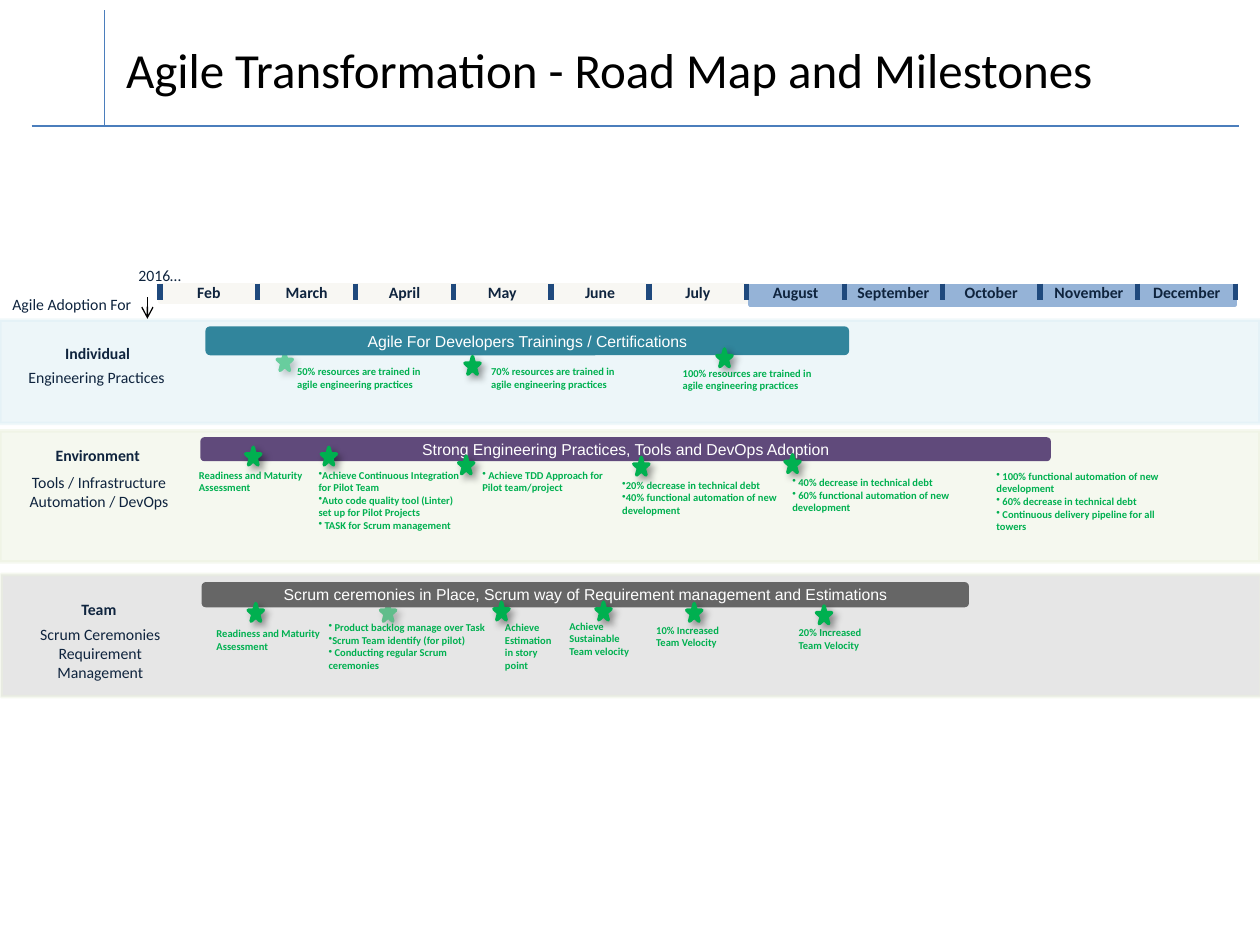
from lxml import etree
from pptx import Presentation
from pptx.dml.color import RGBColor
from pptx.enum.shapes import MSO_CONNECTOR, MSO_SHAPE
from pptx.enum.text import MSO_ANCHOR, MSO_AUTO_SIZE, PP_ALIGN
from pptx.oxml.ns import qn
from pptx.util import Inches, Pt

STRAIGHT = MSO_CONNECTOR.STRAIGHT
RECT, ROUND, STAR = MSO_SHAPE.RECTANGLE, MSO_SHAPE.ROUNDED_RECTANGLE, MSO_SHAPE.STAR_5_POINT
TOP, MIDDLE, BOTTOM = MSO_ANCHOR.TOP, MSO_ANCHOR.MIDDLE, MSO_ANCHOR.BOTTOM
LEFT, CENTER = PP_ALIGN.LEFT, PP_ALIGN.CENTER
COLS, ROWS = 100, 75
WIDTH, HEIGHT = Inches(10), Inches(7.5)
C = {"ink": "0F243E", "green": "00B050", "black": "000000", "white": "FFFFFF",
     "rule": "4B7EBC", "tick": "1F497D", "past": "F8F7F3", "ahead": "95B3D7",
     "sky": "DBEEF4", "lime": "EBF1DE", "grey": "CCCCCC",
     "teal": "31859C", "purple": "604A7B", "dark": "666666"}
MONTHS = ["Feb", "March", "April", "May", "June", "July", "August",
          "September", "October", "November", "December"]
MONTH_X, MONTH_W = 12.7, 7.76

LABELS = [
    (10, 20.6, 7.4, 2.5, ["2016…"], {}),
    (0, 22.9, 13.1, 2.5, ["Agile Adoption For"], {}),
    (0, 26.8, 15.5, 2.5, ["Individual"], {"bold": True, "align": CENTER}),
    (-0.1, 28.7, 15.5, 2.5, ["Engineering Practices"], {"align": CENTER}),
    (0, 34.9, 15.5, 2.5, ["Environment"], {"bold": True, "align": CENTER}),
    (0.1, 37, 15.5, 4, ["Tools / Infrastructure", "Automation / DevOps"], {"align": CENTER}),
    (0.1, 47.1, 15.5, 2.5, ["Team"], {"bold": True, "align": CENTER}),
    (0.2, 49.1, 15.5, 5.6, ["Scrum Ceremonies", "Requirement Management"], {"align": CENTER}),
]
BARS = [
    (16.3, 25.9, 51.1, 2.3, "teal", "Agile For Developers Trainings / Certifications"),
    (15.9, 34.7, 67.5, 1.9, "purple", "Strong Engineering Practices, Tools and DevOps Adoption"),
    (16, 46.2, 60.9, 2, "dark",
     "Scrum ceremonies in Place, Scrum way of Requirement management and Estimations"),
]
NOTES = [
    (22.6, 28.5, 13.3, 3, "50% resources are trained in agile engineering practices"),
    (38, 28.5, 13.3, 3, "70% resources are trained in agile engineering practices"),
    (53.2, 28.6, 13.3, 3, "100% resources are trained in agile engineering practices"),
    (14.8, 36.7, 10.3, 3, "Readiness and Maturity Assessment"),
    (16.2, 49.3, 10.3, 3, "Readiness and Maturity Assessment"),
    (39.1, 48.8, 6, 5, "Achieve Estimation in story point"),
    (44.2, 48.7, 6.9, 4, "Achieve Sustainable Team velocity"),
    (51.1, 49, 7.6, 3, "10% Increased Team Velocity"),
    (62.4, 49.2, 7.6, 3, "20% Increased Team Velocity"),
]
LISTS = [
    (24.3, 36.7, 13.3, 6.1, ["Achieve Continuous Integration for Pilot Team",
                             "Auto code quality tool (Linter) set up for Pilot Projects",
                             " TASK for Scrum management"]),
    (37.3, 36.7, 13.3, 3, [" Achieve TDD Approach for Pilot team/project"]),
    (48.4, 37.5, 17.4, 4, ["20% decrease in technical debt",
                           "40% functional automation of new development"]),
    (61.9, 37.3, 16.8, 4, [" 40% decrease in technical debt",
                           " 60% functional automation of new development"]),
    (78.1, 36.8, 15.2, 6.1, [" 100% functional automation of new development",
                             " 60% decrease in technical debt",
                             " Continuous delivery pipeline for all towers"]),
    (25.1, 48.8, 15.4, 5, [" Product backlog manage over Task",
                           "Scrum Team identify (for pilot)",
                           " Conducting regular Scrum ceremonies"]),
]
FADED_STARS = [(22, 28), (30.2, 47.9)]
STARS = [(56.9, 27.7), (36.9, 28.3), (19.5, 35.5), (25.5, 35.5), (36.4, 36.2),
         (50.3, 36.3), (62.3, 36.1), (19.7, 47.9), (39.2, 47.8), (47.3, 47.8),
         (54.5, 47.9), (64.8, 48.1)]


def grid(x, y, *size):
    """Turn grid columns and rows into slide lengths."""
    units = (WIDTH / COLS, HEIGHT / ROWS)
    return [int(v * units[i % 2]) for i, v in enumerate((x, y, *size))]


def rgb(name):
    """Return a named colour."""
    return RGBColor.from_string(C[name])


def set_alpha(fill_parent, percent):
    """Make the solid fill under an element partly transparent."""
    color = fill_parent.find(qn("a:solidFill"))[0]
    etree.SubElement(color, qn("a:alpha")).set("val", str(percent * 1000))


def write(tf, lines, size=9, font="Calibri", color="ink", bold=False,
          align=LEFT, anchor=TOP, bullet=None, margin=0.1):
    """Fill a text frame with formatted paragraphs."""
    tf.word_wrap = True
    tf.auto_size = MSO_AUTO_SIZE.NONE
    tf.vertical_anchor = anchor
    tf.margin_left = Inches(margin)
    tf.margin_right = Inches(min(margin, 0.1))
    for i, line in enumerate(lines):
        p = tf.add_paragraph() if i else tf.paragraphs[0]
        p.alignment = align
        if bullet:
            etree.SubElement(p._p.get_or_add_pPr(), qn("a:buChar")).set("char", bullet)
        r = p.add_run()
        r.text = line
        r.font.size, r.font.name, r.font.bold = Pt(size), font, bold
        r.font.color.rgb = rgb(color)


def add_text(shapes, x, y, w, h, lines, **fmt):
    """Add a text box."""
    write(shapes.add_textbox(*grid(x, y, w, h)).text_frame, lines, **fmt)


def add_block(shapes, kind, x, y, w, h, fill, line=None):
    """Add a filled preset shape."""
    s = shapes.add_shape(kind, *grid(x, y, w, h))
    s.shadow.inherit = False
    s.fill.solid()
    s.fill.fore_color.rgb = rgb(fill)
    if line:
        s.line.color.rgb = rgb(line)
        s.line.width = Pt(2)
    else:
        s.line.fill.background()
    return s


def add_band(shapes, x, y, h, fill, line, line_alpha=48):
    """Add a translucent swimlane across the slide."""
    s = add_block(shapes, RECT, x, y, COLS, h, fill, line)
    set_alpha(s._element.spPr, 48)
    set_alpha(s.line._ln, line_alpha)


def add_star(shapes, x, y):
    """Add a milestone star with a soft shadow."""
    s = add_block(shapes, STAR, x, y, 1.2, 1.4, "green", "green")
    effects = s._element.spPr.find(qn("a:effectLst"))
    shadow = etree.SubElement(effects, qn("a:outerShdw"), blurRad=str(Pt(4)),
                              dist=str(Pt(3)), dir="2700000", algn="tl", rotWithShape="0")
    color = etree.SubElement(shadow, qn("a:srgbClr"), val=C["black"])
    etree.SubElement(color, qn("a:alpha"), val="40000")


def add_line(shapes, x1, y1, x2, y2, color, width=0.75, arrow=False):
    """Add a straight line, with an arrowhead at its end if asked."""
    s = shapes.add_connector(STRAIGHT, *grid(x1, y1, x2, y2))
    s.line.color.rgb = rgb(color)
    s.line.width = Pt(width)
    if arrow:
        etree.SubElement(s.line._ln, qn("a:tailEnd"), type="arrow")
    etree.SubElement(s._element.spPr, qn("a:effectLst"))


def add_timeline(shapes):
    """Add the month strip with its ticks and names."""
    add_block(shapes, RECT, MONTH_X, 22.6, 46.6, 1.4, "past", "past")
    add_block(shapes, RECT, 59.5, 22.7, 38.5, 1.5, "ahead", "ahead")
    for i in range(len(MONTHS) + 1):
        x = MONTH_X + i * MONTH_W
        add_line(shapes, x, 22.5, x, 23.8, "tick", 3)
    for i, month in enumerate(MONTHS):
        add_text(shapes, MONTH_X + i * MONTH_W, 21.9, MONTH_W, 2.5, [month],
                 bold=True, align=CENTER, anchor=BOTTOM, margin=0)


def add_title(s, text):
    """Place the title and the crossed rules beside it."""
    title = s.shapes.title
    title.left, title.top, title.width, title.height = grid(0, 0, COLS, 8.3)
    write(title.text_frame, [text], size=28, color="black", anchor=BOTTOM, margin=1)
    rules = s.shapes.add_group_shape().shapes
    add_line(rules, 8.3, 0.8, 8.3, 10, "rule")
    add_line(rules, 2.5, 10, 98.3, 10, "rule")


def main():
    """Build the road map slide."""
    prs = Presentation()
    prs.slide_width, prs.slide_height = WIDTH, HEIGHT
    s = prs.slides.add_slide(prs.slide_layouts[5])
    shapes = s.shapes
    add_title(s, "Agile Transformation - Road Map and Milestones")
    add_timeline(shapes.add_group_shape().shapes)
    for star in FADED_STARS:
        add_star(shapes, *star)
    add_band(shapes, 0, 25.4, 8.2, "sky", "sky", 40)
    add_band(shapes, 0, 34.2, 10.4, "lime", "lime")
    add_band(shapes, 0.1, 45.6, 9.7, "grey", "lime")
    add_line(shapes, 11.7, 23.6, 11.7, 25.3, "black", arrow=True)
    for *box, lines, fmt in LABELS:
        add_text(shapes, *box, lines, **fmt)
    for *box, fill, text in BARS:
        bar = add_block(shapes, ROUND, *box, fill)
        write(bar.text_frame, [text], font="Arial", color="white", align=CENTER, anchor=MIDDLE)
    for *box, text in NOTES:
        add_text(shapes, *box, [text], size=6, color="green", bold=True)
    for *box, lines in LISTS:
        add_text(shapes, *box, lines, size=6, color="green", bold=True, bullet="•")
    for star in STARS:
        add_star(shapes, *star)
    prs.save("out.pptx")


if __name__ == "__main__":
    main()
